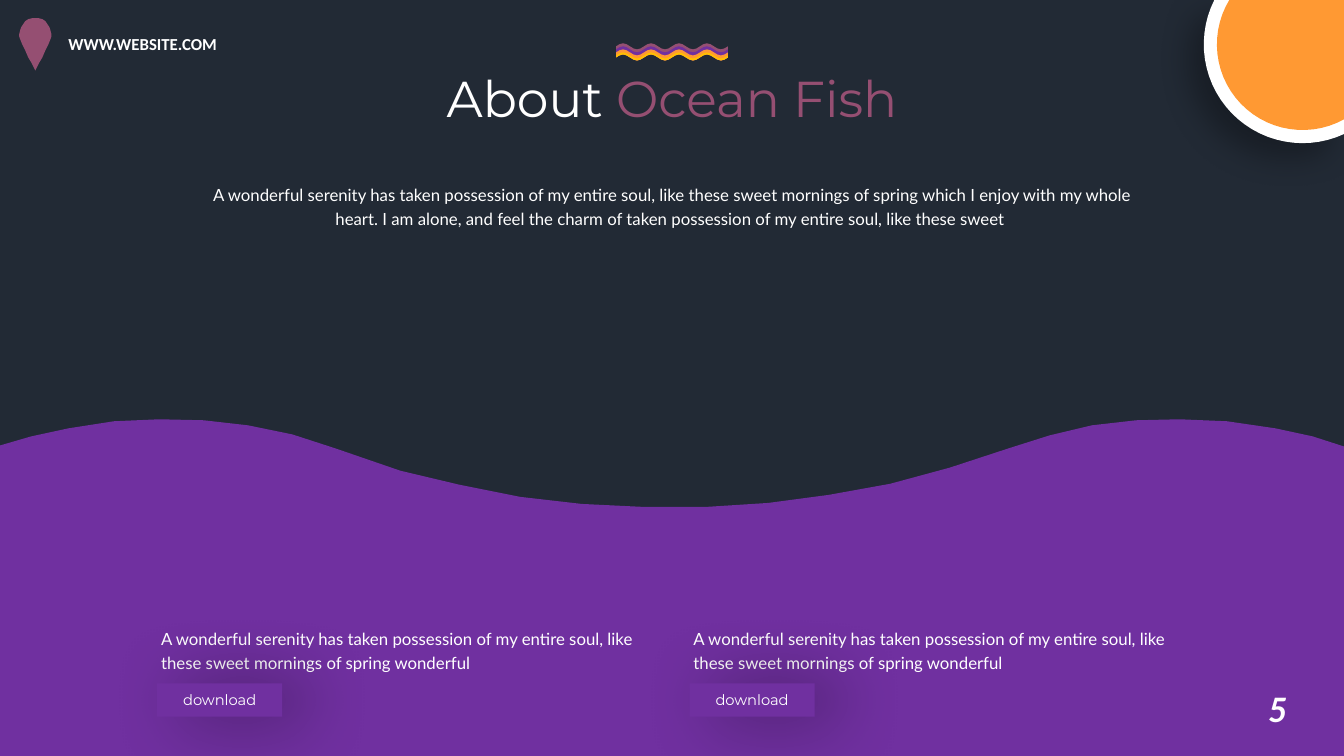
import math

from lxml import etree
from pptx import Presentation, util as u
from pptx.dml import color
from pptx.enum import shapes, text
from pptx.oxml import ns

WIDTH, HEIGHT = 13.33, 7.5
WHITE, PURPLE, MAUVE, ORANGE, AMBER = "FFFFFF", "7030A0", "954F72", "FF9933", "FFC000"

INTRO = ("A wonderful serenity has taken possession of my entire soul, like these sweet "
         "mornings of spring which I enjoy with my whole heart. I am alone, and feel the "
         "charm of taken possession of my entire soul, like these sweet ")
CAPTION = ("A wonderful serenity has taken possession of my entire soul, "
           "like these sweet mornings of spring wonderful")

SEA_SURFACE = [
    (0, 4.42), (0.31, 4.33), (0.68, 4.25), (1.13, 4.18), (1.58, 4.16), (2.02, 4.17),
    (2.46, 4.22), (2.9, 4.31), (3.33, 4.45), (3.97, 4.67), (4.56, 4.81), (5.16, 4.93),
    (5.77, 5), (6.39, 5.03), (7, 5.03), (7.62, 4.99), (8.22, 4.91), (8.83, 4.8),
    (9.42, 4.64), (10, 4.45), (10.41, 4.32), (10.83, 4.22), (11.27, 4.17), (11.7, 4.16),
    (12.17, 4.18), (12.65, 4.25), (13.02, 4.33), (13.33, 4.43)]

# Half width of the pin at each height, from its top to its tip
PIN_PROFILE = [
    (0, 0.18), (0.03, 0.18), (0.07, 0.19), (0.1, 0.21), (0.12, 0.24), (0.14, 0.27),
    (0.15, 0.3), (0.16, 0.34), (0.16, 0.36), (0.15, 0.39), (0.13, 0.44), (0.1, 0.5),
    (0.07, 0.57), (0.04, 0.62), (0.02, 0.66), (0, 0.7)]


def rgb(value):
    return color.RGBColor.from_string(value)


def write(frame, *runs, size, font, bold=False, italic=False, align="LEFT",
          spacing=None, anchor="TOP", wrap=True, grow=True):
    """Fill a text frame with one paragraph of (words, colour) runs."""
    frame.word_wrap = wrap
    frame.auto_size = getattr(text.MSO_AUTO_SIZE, "SHAPE_TO_FIT_TEXT" if grow else "NONE")
    frame.vertical_anchor = getattr(text.MSO_ANCHOR, anchor)
    paragraph = frame.paragraphs[0]
    paragraph.alignment = getattr(text.PP_ALIGN, align)
    if spacing:
        paragraph.line_spacing = spacing
    for words, tint in runs:
        run = paragraph.add_run()
        run.text = words
        run.font.size, run.font.name = u.Pt(size), font
        run.font.bold, run.font.italic = bold, italic
        run.font.color.rgb = rgb(tint)


def corner_disc(cx, cy, radius, steps=28):
    """Outline of the part of a disc inside the slide's top right corner."""
    start = math.acos((WIDTH - cx) / radius)
    sweep = math.pi + math.asin(cy / radius) - start
    angles = [start + sweep * i / steps for i in range(steps + 1)]
    return [(cx + radius * math.cos(a), cy + radius * math.sin(a))
            for a in angles] + [(WIDTH, 0)]


def ripple(middle, left=6.11, width=1.11, waves=4, height=0.03, steps=32):
    return [(left + width * i / steps,
             middle - height * math.sin(2 * math.pi * waves * i / steps))
            for i in range(steps + 1)]


class Page:
    def __init__(self, deck, background):
        self.slide = deck.slides.add_slide(deck.slide_layouts[5])
        self.shapes = self.slide.shapes
        fill = self.slide.background.fill
        fill.solid()
        fill.fore_color.rgb = rgb(background)

    def paint(self, shape, fill, shadow=None):
        """Plain fill without line; shadow is (opacity %, blur pt, distance pt, degrees)."""
        shape.fill.solid()
        shape.fill.fore_color.rgb = rgb(fill)
        shape.line.fill.background()
        shape.shadow.inherit = False
        if shadow:
            opacity, blur, distance, angle = shadow
            effects = shape._element.spPr.find(ns.qn("a:effectLst"))
            outer = etree.SubElement(
                effects, ns.qn("a:outerShdw"), blurRad=str(u.Pt(blur)),
                dist=str(u.Pt(distance)), dir=str(angle * 60000), rotWithShape="0")
            tint = etree.SubElement(outer, ns.qn("a:srgbClr"), val="000000")
            etree.SubElement(tint, ns.qn("a:alpha"), val=str(opacity * 1000))

    def outline(self, points, fill, shadow=None, group=None):
        points = [(u.Inches(x), u.Inches(y)) for x, y in points]
        target = group.shapes if group else self.shapes
        builder = target.build_freeform(*points[0])
        builder.add_line_segments(points[1:], close=True)
        self.paint(builder.convert_to_shape(), fill, shadow)

    def title(self, box, *runs, **style):
        heading = self.shapes.title
        heading.left, heading.top, heading.width, heading.height = map(u.Inches, box)
        write(heading.text_frame, *runs, **style)

    def label(self, box, words, **style):
        frame = self.shapes.add_textbox(*map(u.Inches, box)).text_frame
        write(frame, (words, WHITE), **style)

    def button(self, box, words):
        key = self.shapes.add_shape(shapes.MSO_SHAPE.RECTANGLE, *map(u.Inches, box))
        self.paint(key, PURPLE, shadow=(40, 50, 16, 0))
        write(key.text_frame, (words, WHITE), size=10.5, font="Montserrat",
              align="CENTER", anchor="MIDDLE", grow=False)


def main():
    deck = Presentation()
    deck.slide_width, deck.slide_height = u.Inches(WIDTH), u.Inches(HEIGHT)
    page = Page(deck, "222A35")

    # Sea and page number
    page.outline(SEA_SURFACE + [(WIDTH, HEIGHT), (0, HEIGHT)], PURPLE)
    page.label((12.48, 6.79, 0.4, 0.5), "5", size=24, font="Lato",
               bold=True, italic=True, wrap=False)

    # Pin and web address
    pin_x = 0.35
    right = [(pin_x + half, y) for half, y in PIN_PROFILE]
    left = [(pin_x - half, y) for half, y in reversed(PIN_PROFILE[1:-1])]
    page.outline(right + left, MAUVE)
    page.label((0.58, 0.29, 2.53, 0.3), "WWW.WEBSITE.COM", size=12, font="Calibri", bold=True)

    # Sun in the corner
    sun = page.shapes.add_group_shape()
    page.outline(corner_disc(12.92, 0.44, 0.98), WHITE, shadow=(29, 23, 15, 135), group=sun)
    page.outline(corner_disc(12.92, 0.44, 0.85), ORANGE, group=sun)

    # Title with layered ripples above it
    page.title((4.17, 0.62, 4.99, 0.71), ("About ", WHITE), ("Ocean Fish", MAUVE),
               size=36, font="Montserrat", align="CENTER", wrap=False)
    ripples = page.shapes.add_group_shape()
    seabed = ripple(0.57)[::-1]
    for layer, tint in enumerate((MAUVE, PURPLE, ORANGE, AMBER)):
        page.outline(ripple(0.46 + 0.03 * layer) + seabed, tint, group=ripples)

    # Introduction and the two download columns
    body = dict(size=12, font="Lato", spacing=1.2)
    page.label((1.82, 1.74, 9.7, 0.56), INTRO, align="CENTER", **body)
    for column in (1.5, 6.78):
        page.label((column, 6.15, 5.06, 0.56), CAPTION, **body)
        page.button((column + 0.06, 6.78, 1.24, 0.33), "download")

    deck.save("out.pptx")


if __name__ == "__main__":
    main()
